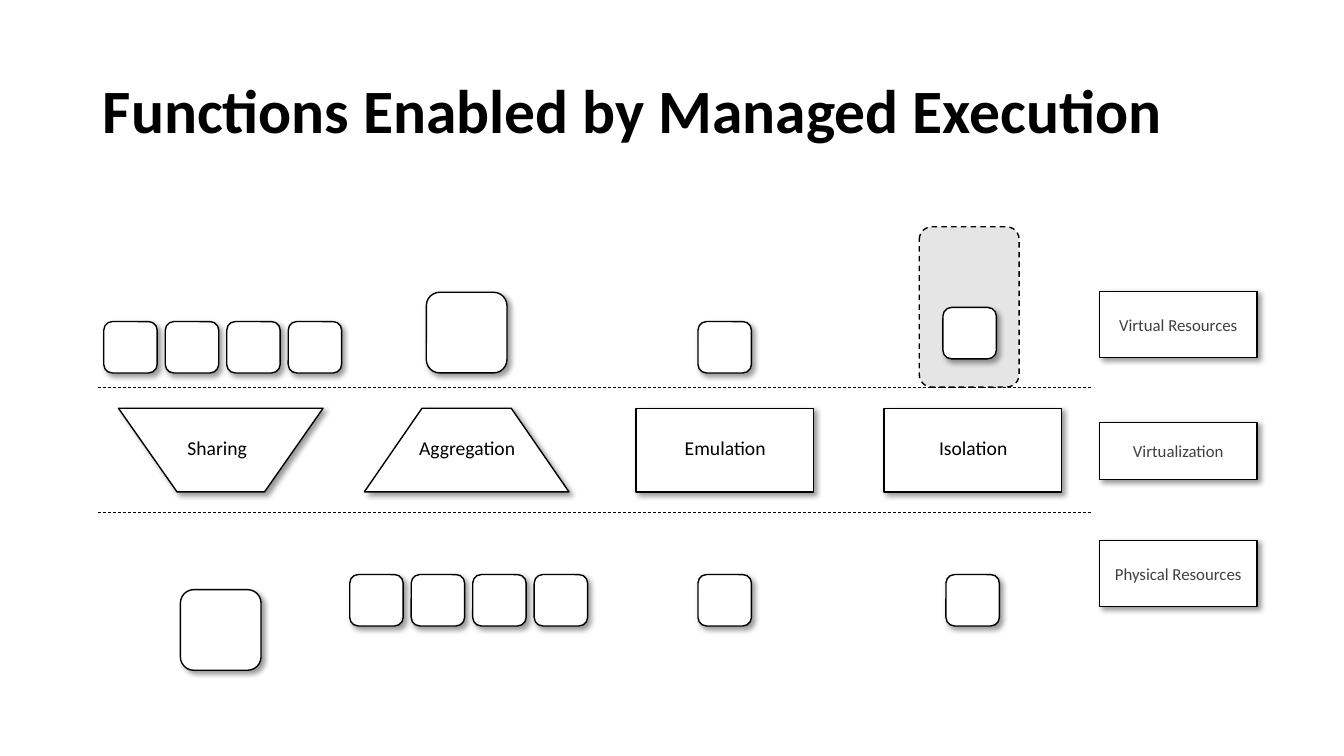
from collections import namedtuple
from dataclasses import dataclass

from lxml import etree
from pptx import Presentation
from pptx.dml.color import RGBColor
from pptx.enum import dml, shapes, text
from pptx.oxml.ns import qn
from pptx.util import Emu, Pt

PX = 9144  # EMU per px, 100 px to the inch
Box = namedtuple("Box", "x y w h")
Column = namedtuple("Column", "label center form adj flipped label_dx above below")
SHAPE = shapes.MSO_SHAPE


@dataclass(frozen=True)
class Theme:
    font: str = "Calibri"
    ink: str = "000000"
    paper: str = "FFFFFF"
    muted: str = "404040"
    cage: str = "808080"
    title_size: int = 44
    label_size: int = 14
    layer_size: int = 12
    outline: float = 1
    divider: float = 0.5


THEME = Theme()
TILE_W, TILE_H, TILE_PITCH, BIG_TILE = 53, 51, 61, 80

COLUMNS = [
    Column("Sharing", 219, SHAPE.TRAPEZOID, 0.7, True, -4, "four", "big"),
    Column("Aggregation", 463, SHAPE.TRAPEZOID, 0.69, False, 0, "big", "four"),
    Column("Emulation", 719, SHAPE.RECTANGLE, None, False, 0, "one", "one"),
    Column("Isolation", 965, SHAPE.RECTANGLE, None, False, 0, "caged", "one"),
]
LAYERS = [
    ("Virtual Resources", 289, 66),
    ("Virtualization", 419, 57),
    ("Physical Resources", 536, 66),
]


def emu(*lengths):
    return [Emu(round(n * PX)) for n in lengths]


def rgb(value):
    return RGBColor.from_string(value)


def child(parent, tag, **attrs):
    return etree.SubElement(parent, qn(tag), {k: str(v) for k, v in attrs.items()})


def add_shadow(sp):
    sp.shadow.inherit = False
    effects = sp._element.spPr.find(qn("a:effectLst"))
    outer = child(effects, "a:outerShdw", blurRad=Pt(4), dist=Pt(3),
                  dir=45 * 60000, algn="tl", rotWithShape=0)
    color = child(outer, "a:srgbClr", val=THEME.ink)
    child(color, "a:alpha", val=40000)


def add_block(slide, form, box, adj=None):
    """White outlined shape with a soft shadow."""
    sp = slide.shapes.add_shape(form, *emu(*box))
    if adj is not None:
        sp.adjustments[0] = adj
    sp.fill.solid()
    sp.fill.fore_color.rgb = rgb(THEME.paper)
    sp.line.color.rgb = rgb(THEME.ink)
    sp.line.width = Pt(THEME.outline)
    add_shadow(sp)
    return sp


def write(sp, words, size, color, align=text.PP_ALIGN.CENTER, bold=False):
    tf = sp.text_frame
    tf.word_wrap = True
    tf.auto_size = text.MSO_AUTO_SIZE.NONE
    tf.vertical_anchor = text.MSO_ANCHOR.MIDDLE
    p = tf.paragraphs[0]
    p.alignment = align
    r = p.add_run()
    r.text = words
    r.font.name = THEME.font
    r.font.size = Pt(size)
    r.font.bold = bold
    r.font.color.rgb = rgb(color)
    return p


def add_title(slide, words, box):
    title = slide.shapes.title
    title.left, title.top, title.width, title.height = emu(*box)
    p = write(title, words, THEME.title_size, THEME.ink, text.PP_ALIGN.LEFT, True)
    p.line_spacing = 0.9


def add_divider(slide, box):
    line = slide.shapes.add_connector(
        shapes.MSO_CONNECTOR.STRAIGHT, *emu(box.x, box.y, box.x + box.w, box.y))
    line.line.color.rgb = rgb(THEME.ink)
    line.line.width = Pt(THEME.divider)
    line.line.dash_style = dml.MSO_LINE.DASH
    child(line._element.spPr, "a:effectLst")


def add_cage(slide, box):
    """Translucent dashed enclosure."""
    sp = slide.shapes.add_shape(SHAPE.ROUNDED_RECTANGLE, *emu(*box))
    sp.adjustments[0] = 0.125
    sp.shadow.inherit = False
    sp.fill.solid()
    sp.fill.fore_color.rgb = rgb(THEME.cage)
    color = sp._element.spPr.find(qn("a:solidFill"))[0]
    child(color, "a:alpha", val=20000)
    sp.line.color.rgb = rgb(THEME.ink)
    sp.line.width = Pt(THEME.outline)
    sp.line.dash_style = dml.MSO_LINE.DASH


def add_resources(slide, kind, center, top, bottom):
    """Tiles of one resource row, hung from top or stood on bottom."""
    count, w, h = 1, TILE_W, TILE_H
    if kind == "big":
        w = h = BIG_TILE
    elif kind == "four":
        count, center = 4, center + 2
    elif kind == "caged":
        center -= 3
        add_cage(slide, Box(center - 50, bottom - 145, 99, 159))
        bottom -= 14
    if top is None:
        y = bottom - h
    else:
        y = top + (15 if kind == "big" else 0)
    left = center - ((count - 1) * TILE_PITCH + w) / 2
    for i in range(count):
        add_block(slide, SHAPE.ROUNDED_RECTANGLE, Box(left + i * TILE_PITCH, y, w, h))


def add_column(slide, column, box):
    """Virtual tiles, the function block with its label, physical tiles."""
    center = box.x + box.w / 2
    add_resources(slide, column.above, center, None, box.y + 145)

    form = add_block(slide, column.form, Box(box.x, box.y + 180, box.w, 83), column.adj)
    if column.flipped:
        form.rotation = 180
    label = slide.shapes.add_textbox(
        *emu(center - 76 + column.label_dx, box.y + 194, 153, 50))
    write(label, column.label, THEME.label_size, THEME.ink)

    add_resources(slide, column.below, center, box.y + 345, None)


def add_layer_key(slide, box):
    """Names of the three layers at the right."""
    for words, y, h in LAYERS:
        sp = add_block(slide, SHAPE.RECTANGLE, Box(box.x, y, box.w, h))
        write(sp, words, THEME.layer_size, THEME.muted)


def main():
    prs = Presentation()
    prs.slide_width, prs.slide_height = emu(1333.33, 750)
    slide = prs.slides.add_slide(prs.slide_layouts[5])

    add_title(slide, "Functions Enabled by Managed Execution", Box(92, 40, 1150, 145))
    for y in (384, 508):
        add_divider(slide, Box(97, y, 986, 0))
    for column in COLUMNS:
        w = 203 if column.form == SHAPE.TRAPEZOID else 176
        add_column(slide, column, Box(column.center - w / 2, 225, w, 440))
    add_layer_key(slide, Box(1091, 289, 156, 313))

    prs.save("out.pptx")


if __name__ == "__main__":
    main()
